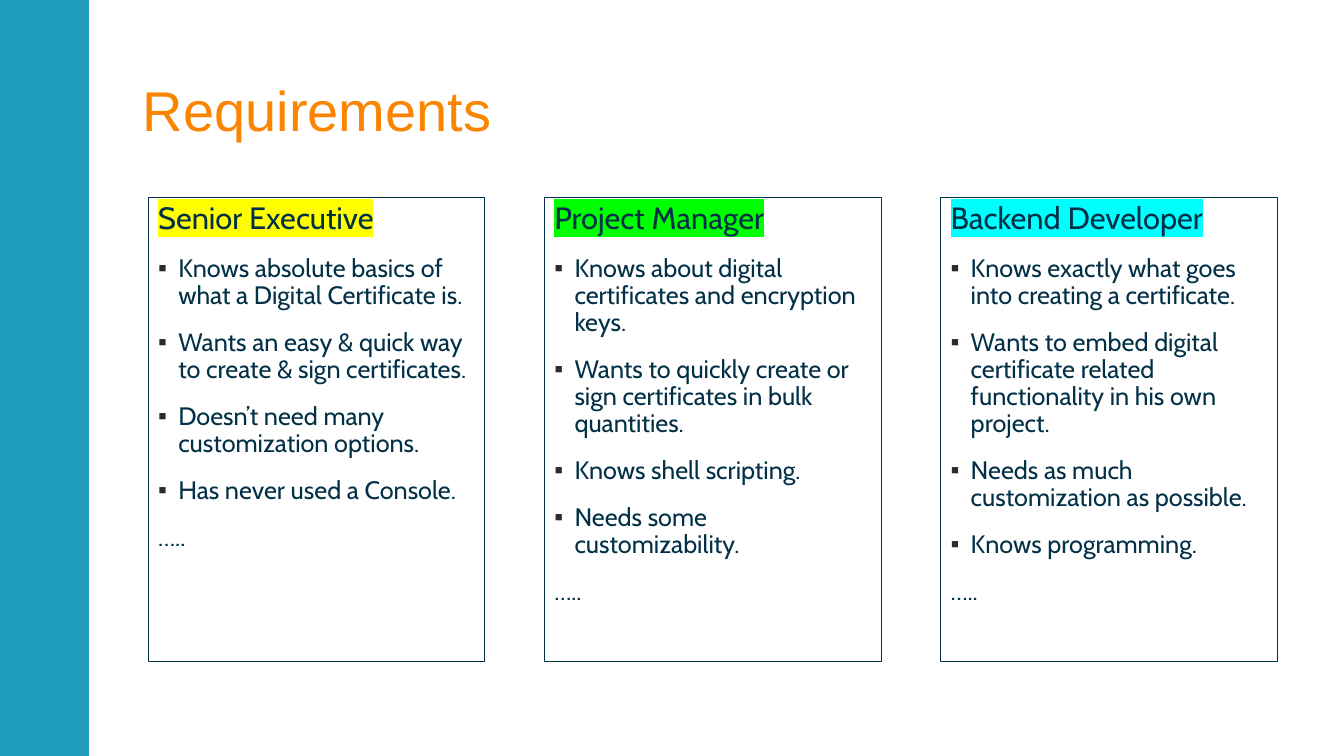
import pptx
import pptx.dml.color
import pptx.enum.shapes
import pptx.enum.text
import pptx.oxml.ns
import pptx.util
from dataclasses import dataclass
from lxml import etree

TITLE = "Requirements"
CLOSING = "….."
PERSONAS = [
    ("Senior Executive", "FFFF00", [
        "Knows absolute basics of what a Digital Certificate is.",
        "Wants an easy & quick way to create & sign certificates.",
        "Doesn’t need many customization options.",
        "Has never used a Console.",
    ]),
    ("Project Manager", "00FF00", [
        "Knows about digital certificates and encryption keys.",
        "Wants to quickly create or sign certificates in bulk quantities.",
        "Knows shell scripting.",
        "Needs some customizability.",
    ]),
    ("Backend Developer", "00FFFF", [
        "Knows exactly what goes into creating a certificate.",
        "Wants to embed digital certificate related functionality in his own project.",
        "Needs as much customization as possible.",
        "Knows programming.",
    ]),
]


@dataclass(frozen=True)
class Theme:
    band: str = "219EBC"
    title: str = "FB8500"
    text: str = "023047"
    bullet: str = "2C2C2C"
    title_font: str = "Arial"
    body_font: str = "Cabin"
    title_size: int = 40
    heading_size: int = 22
    body_size: int = 18


THEME = Theme()
WIDTH, HEIGHT = 13.33, 7.5
BAND_WIDTH = 0.88
TITLE_BOX = (1.32, 0.31, 10.7, 1.65)
CARD_LEFT, CARD_TOP, CARD_WIDTH, CARD_HEIGHT = 1.47, 1.96, 3.34, 4.6
CARD_PITCH = 3.93
INDENT = 0.2


def inches(*lengths):
    return [pptx.util.Inches(length) for length in lengths]


def rgb(color):
    return pptx.dml.color.RGBColor.from_string(color)


def add_child(parent, tag, **attributes):
    return etree.SubElement(parent, pptx.oxml.ns.qn(tag), attributes)


def add_rectangle(slide, box, fill, line, line_width):
    shape = slide.shapes.add_shape(
        pptx.enum.shapes.MSO_SHAPE.RECTANGLE, *inches(*box))
    shape.shadow.inherit = False
    if fill:
        shape.fill.solid()
        shape.fill.fore_color.rgb = rgb(fill)
    else:
        shape.fill.background()
    shape.line.color.rgb = rgb(line)
    shape.line.width = pptx.util.Pt(line_width)
    return shape


def set_font(paragraph, name, size, color):
    paragraph.font.name = name
    paragraph.font.size = pptx.util.Pt(size)
    paragraph.font.color.rgb = rgb(color)


def add_bullet(paragraph):
    properties = paragraph._p.get_or_add_pPr()
    indent = pptx.util.Inches(INDENT)
    properties.set("marL", str(indent))
    properties.set("indent", str(-indent))
    add_child(add_child(properties, "a:buClr"), "a:srgbClr", val=THEME.bullet)
    add_child(properties, "a:buFont", typeface=THEME.title_font)
    add_child(properties, "a:buChar", char="▪")


def highlight(run, color):
    marker = add_child(run._r.get_or_add_rPr(), "a:highlight")
    add_child(marker, "a:srgbClr", val=color)


def add_title(slide):
    frame = slide.shapes.add_textbox(*inches(*TITLE_BOX)).text_frame
    frame.word_wrap = True
    frame.vertical_anchor = pptx.enum.text.MSO_ANCHOR.MIDDLE
    paragraph = frame.paragraphs[0]
    paragraph.text = TITLE
    paragraph.line_spacing = 0.85
    set_font(paragraph, THEME.title_font, THEME.title_size, THEME.title)


def add_card(slide, column, heading, marker, needs):
    box = (CARD_LEFT + column * CARD_PITCH, CARD_TOP, CARD_WIDTH, CARD_HEIGHT)
    frame = add_rectangle(slide, box, None, THEME.text, 0.75).text_frame
    frame.word_wrap = True
    frame.vertical_anchor = pptx.enum.text.MSO_ANCHOR.TOP
    lines = [heading, *needs, CLOSING]
    for index, line in enumerate(lines):
        paragraph = frame.add_paragraph() if index else frame.paragraphs[0]
        paragraph.text = line
        paragraph.alignment = pptx.enum.text.PP_ALIGN.LEFT
        paragraph.line_spacing = 0.9
        paragraph.space_before = pptx.util.Pt(12)
        paragraph.space_after = pptx.util.Pt(2)
        if 0 < index <= len(needs):
            add_bullet(paragraph)
        size = THEME.body_size if index else THEME.heading_size
        set_font(paragraph, THEME.body_font, size, THEME.text)
    highlight(frame.paragraphs[0].runs[0], marker)


def main():
    presentation = pptx.Presentation()
    presentation.slide_width, presentation.slide_height = inches(WIDTH, HEIGHT)
    slide = presentation.slides.add_slide(presentation.slide_layouts[6])
    add_rectangle(slide, (0, 0, BAND_WIDTH, HEIGHT), THEME.band, THEME.band, 1)
    add_title(slide)
    for column, persona in enumerate(PERSONAS):
        add_card(slide, column, *persona)
    presentation.save("out.pptx")


if __name__ == "__main__":
    main()
